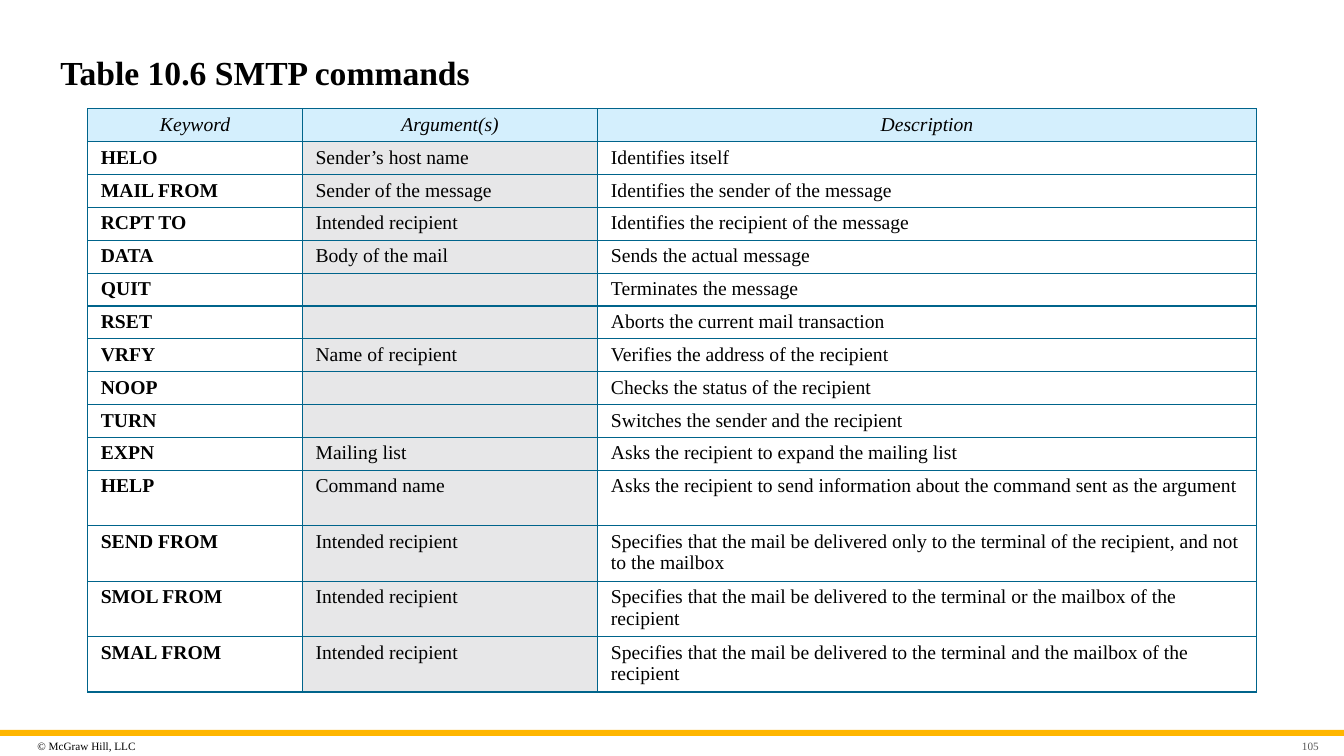
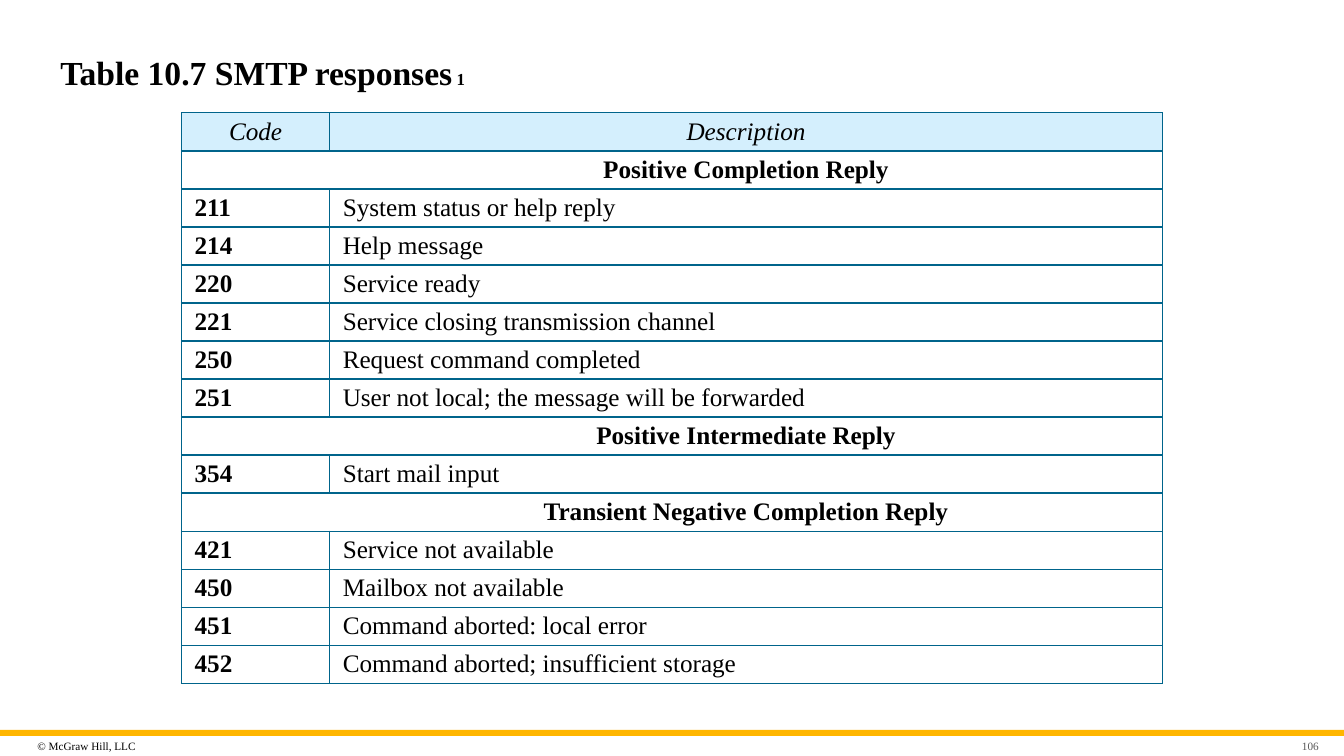
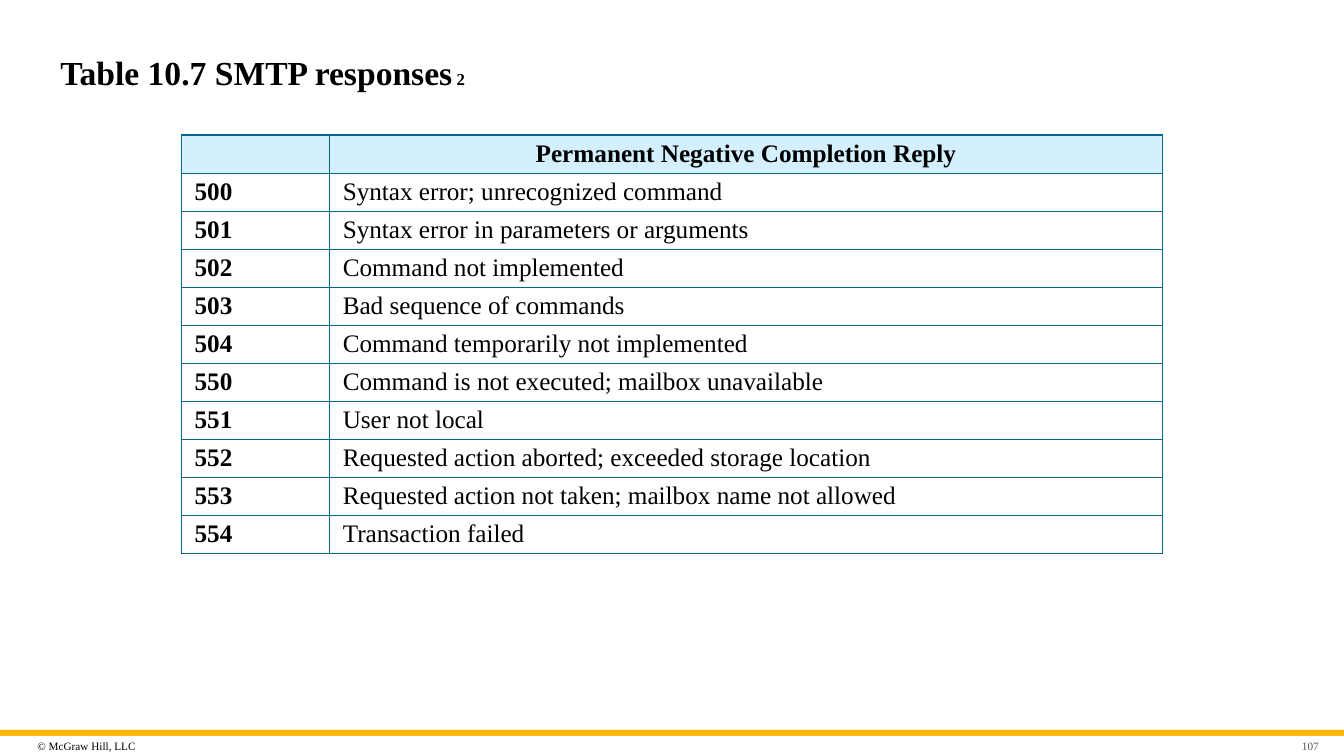
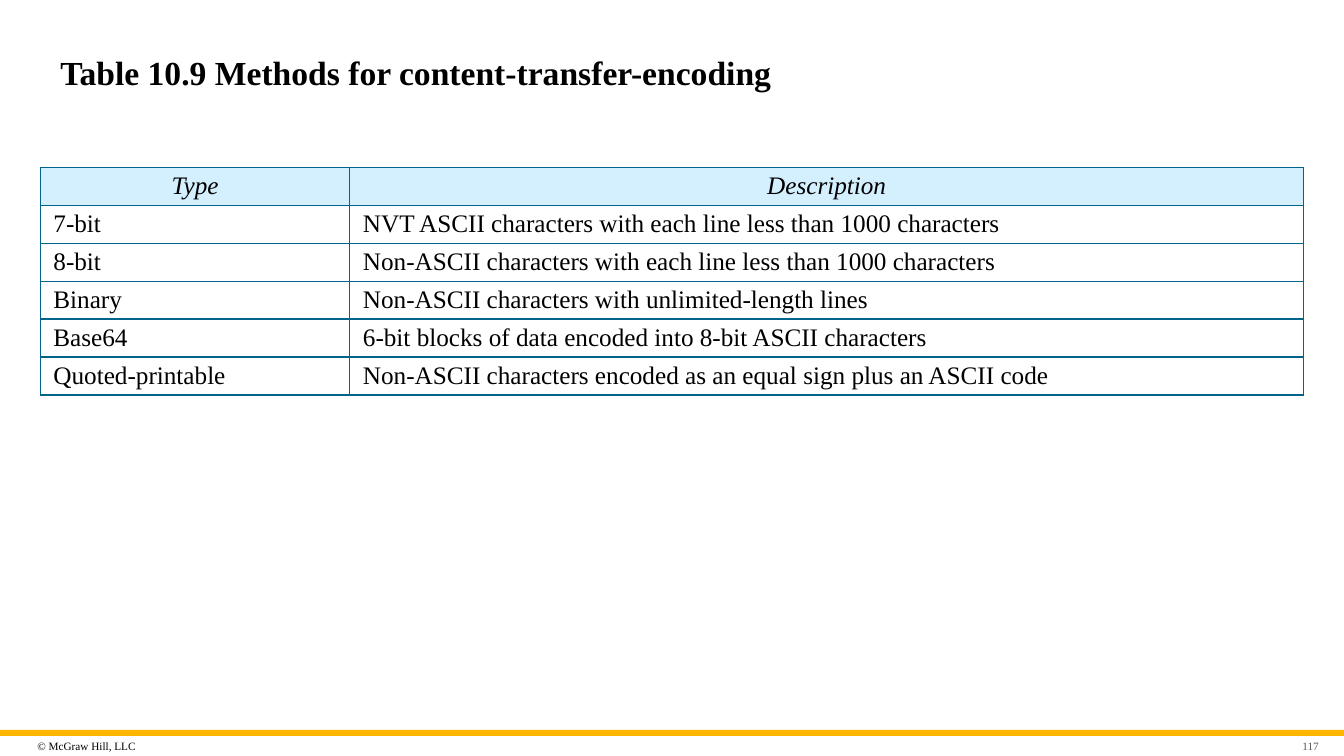
from pptx import Presentation
from pptx.dml.color import RGBColor
from pptx.enum.shapes import MSO_SHAPE
from pptx.enum.text import MSO_ANCHOR, PP_ALIGN
from pptx.oxml import parse_xml
from pptx.oxml.ns import nsdecls
from pptx.util import Inches, Pt

RECT = MSO_SHAPE.RECTANGLE
MIDDLE = MSO_ANCHOR.MIDDLE
LEFT, CENTER, RIGHT = PP_ALIGN.LEFT, PP_ALIGN.CENTER, PP_ALIGN.RIGHT

FONT = "Times New Roman"
BLACK, GRAY, GOLD = "000000", "595959", "FFB600"
TEAL, SKY, SILVER = "00648B", "D4EFFD", "E7E7E8"
WIDE, HIGH = 13.33, 7.5
TALL = 0.55
FOOTER = "© McGraw Hill, LLC"

COMMANDS = [
    ("Keyword", "Argument(s)", "Description"),
    ("HELO", "Sender’s host name", "Identifies itself"),
    ("MAIL FROM", "Sender of the message", "Identifies the sender of the message"),
    ("RCPT TO", "Intended recipient", "Identifies the recipient of the message"),
    ("DATA", "Body of the mail", "Sends the actual message"),
    ("QUIT", "", "Terminates the message"),
    ("RSET", "", "Aborts the current mail transaction"),
    ("VRFY", "Name of recipient", "Verifies the address of the recipient"),
    ("NOOP", "", "Checks the status of the recipient"),
    ("TURN", "", "Switches the sender and the recipient"),
    ("EXPN", "Mailing list", "Asks the recipient to expand the mailing list"),
    ("HELP", "Command name",
     "Asks the recipient to send information about the command sent as the argument"),
    ("SEND FROM", "Intended recipient",
     "Specifies that the mail be delivered only to the terminal of the recipient, "
     "and not to the mailbox"),
    ("SMOL FROM", "Intended recipient",
     "Specifies that the mail be delivered to the terminal or the mailbox of the recipient"),
    ("SMAL FROM", "Intended recipient",
     "Specifies that the mail be delivered to the terminal and the mailbox of the recipient"),
]
REPLIES = [
    ("Code", "Description"),
    ("", "Positive Completion Reply"),
    ("211", "System status or help reply"),
    ("214", "Help message"),
    ("220", "Service ready"),
    ("221", "Service closing transmission channel"),
    ("250", "Request command completed"),
    ("251", "User not local; the message will be forwarded"),
    ("", "Positive Intermediate Reply"),
    ("354", "Start mail input"),
    ("", "Transient Negative Completion Reply"),
    ("421", "Service not available"),
    ("450", "Mailbox not available"),
    ("451", "Command aborted: local error"),
    ("452", "Command aborted; insufficient storage"),
]
ERRORS = [
    ("", "Permanent Negative Completion Reply"),
    ("500", "Syntax error; unrecognized command"),
    ("501", "Syntax error in parameters or arguments"),
    ("502", "Command not implemented"),
    ("503", "Bad sequence of commands"),
    ("504", "Command temporarily not implemented"),
    ("550", "Command is not executed; mailbox unavailable"),
    ("551", "User not local"),
    ("552", "Requested action aborted; exceeded storage location"),
    ("553", "Requested action not taken; mailbox name not allowed"),
    ("554", "Transaction failed"),
]
METHODS = [
    ("Type", "Description"),
    ("7-bit", "NVT ASCII characters with each line less than 1000 characters"),
    ("8-bit", "Non-ASCII characters with each line less than 1000 characters"),
    ("Binary", "Non-ASCII characters with unlimited-length lines"),
    ("Base64", "6-bit blocks of data encoded into 8-bit ASCII characters"),
    ("Quoted-printable", "Non-ASCII characters encoded as an equal sign plus an ASCII code"),
]
SLIDES = [
    dict(title="Table 10.6 SMTP commands", part="", page=105, rows=COMMANDS,
         top=1.08, high=5.79, cols=(2.13, 2.93, 6.53), size=14, tall=4, bold=True),
    dict(title="Table 10.7 SMTP responses", part=" 1", page=106, rows=REPLIES,
         top=1.12, high=5.66, cols=(1.47, 8.26), size=18, tall=0, bold=True),
    dict(title="Table 10.7 SMTP responses", part=" 2", page=107, rows=ERRORS,
         top=1.34, high=4.15, cols=(1.47, 8.26), size=18, tall=0, bold=True),
    dict(title="Table 10.9 Methods for content-transfer-encoding", part="", page=117,
         rows=METHODS, top=1.66, high=2.26, cols=(3.07, 9.46), size=18, tall=0, bold=False),
]


def color(code):
    return RGBColor.from_string(code)


def style(run, size, code=BLACK, bold=False, italic=False):
    font = run.font
    font.name, font.size = FONT, Pt(size)
    font.bold, font.italic = bold, italic
    font.color.rgb = color(code)


def add_text(slide, box, text, size, code=BLACK, bold=False, align=LEFT, pad=0.05, lead=0.05):
    frame = slide.shapes.add_textbox(*map(Inches, box)).text_frame
    frame.word_wrap = True
    frame.vertical_anchor = MIDDLE
    frame.margin_left = Inches(lead)
    frame.margin_right = Inches(pad)
    frame.margin_top = frame.margin_bottom = Inches(0.05)
    frame.text = text
    para = frame.paragraphs[0]
    para.alignment = align
    style(para.runs[0], size, code, bold)
    return para


def add_frame(slide, title, part, page):
    band = slide.shapes.add_shape(RECT, 0, Inches(7.24), Inches(WIDE), Inches(0.06))
    band.shadow.inherit = False
    band.fill.solid()
    band.fill.fore_color.rgb = color(GOLD)
    band.line.fill.background()
    add_text(slide, (0.32, 7.28, 1.8, 0.24), FOOTER, 8)
    para = add_text(slide, (0.5, 0.34, 12.33, 0.74), title, 24, bold=True, pad=0.1, lead=0.1)
    if part:
        run = para.add_run()
        run.text = part
        style(run, 12, bold=True)
    add_text(slide, (12.61, 7.31, 0.52, 0.18), str(page), 8, GRAY, align=RIGHT, lead=0.1)


def set_edges(cell, hide):
    props = cell._tc.get_or_add_tcPr()
    for i, side in enumerate("LRTB"):
        if side == hide:
            fill = "<a:noFill/>"
        else:
            fill = f'<a:solidFill><a:srgbClr val="{TEAL}"/></a:solidFill>'
        props.insert(i, parse_xml(f'<a:ln{side} {nsdecls("a")} w="{Pt(1)}">{fill}</a:ln{side}>'))


def fill_cell(cell, text, size, fill, bold, italic, align, hide):
    cell.margin_left = cell.margin_right = Inches(0.13)
    cell.margin_top = Inches(0.05)
    cell.margin_bottom = Inches(0.02)
    if fill:
        cell.fill.solid()
        cell.fill.fore_color.rgb = color(fill)
    else:
        cell.fill.background()
    set_edges(cell, hide)
    cell.text_frame.text = text
    para = cell.text_frame.paragraphs[0]
    para.alignment = align
    for run in para.runs:
        style(run, size, BLACK, bold, italic)
    if not text:
        para._p.get_or_add_endParaRPr().set("sz", "1000")


def add_grid(slide, rows, top, high, cols, size, tall, bold):
    wide = sum(cols)
    short = (high - tall * TALL) / (len(rows) - tall)
    box = ((WIDE - wide) / 2, top, wide, high)
    table = slide.shapes.add_table(len(rows), len(cols), *map(Inches, box)).table
    table.first_row = table.horz_banding = False
    for col, width in zip(table.columns, cols):
        col.width = Inches(width)
    for i, row in enumerate(rows):
        table.rows[i].height = Inches(TALL if i >= len(rows) - tall else short)
        head, group = i == 0, row[0] == ""
        for j, text in enumerate(row):
            shade = SILVER if len(cols) == 3 and j == 1 else None
            fill_cell(
                table.cell(i, j), text, size,
                fill=SKY if head else shade,
                bold=group or (bold and j == 0 and not head),
                italic=head and not group,
                align=CENTER if head or group else LEFT,
                hide="RL"[j] if group and not head else None,
            )


def main():
    deck = Presentation()
    deck.slide_width, deck.slide_height = Inches(WIDE), Inches(HIGH)
    for item in SLIDES:
        slide = deck.slides.add_slide(deck.slide_layouts[6])
        data = dict(item)
        add_frame(slide, data.pop("title"), data.pop("part"), data.pop("page"))
        add_grid(slide, **data)
    deck.save("out.pptx")


if __name__ == "__main__":
    main()
